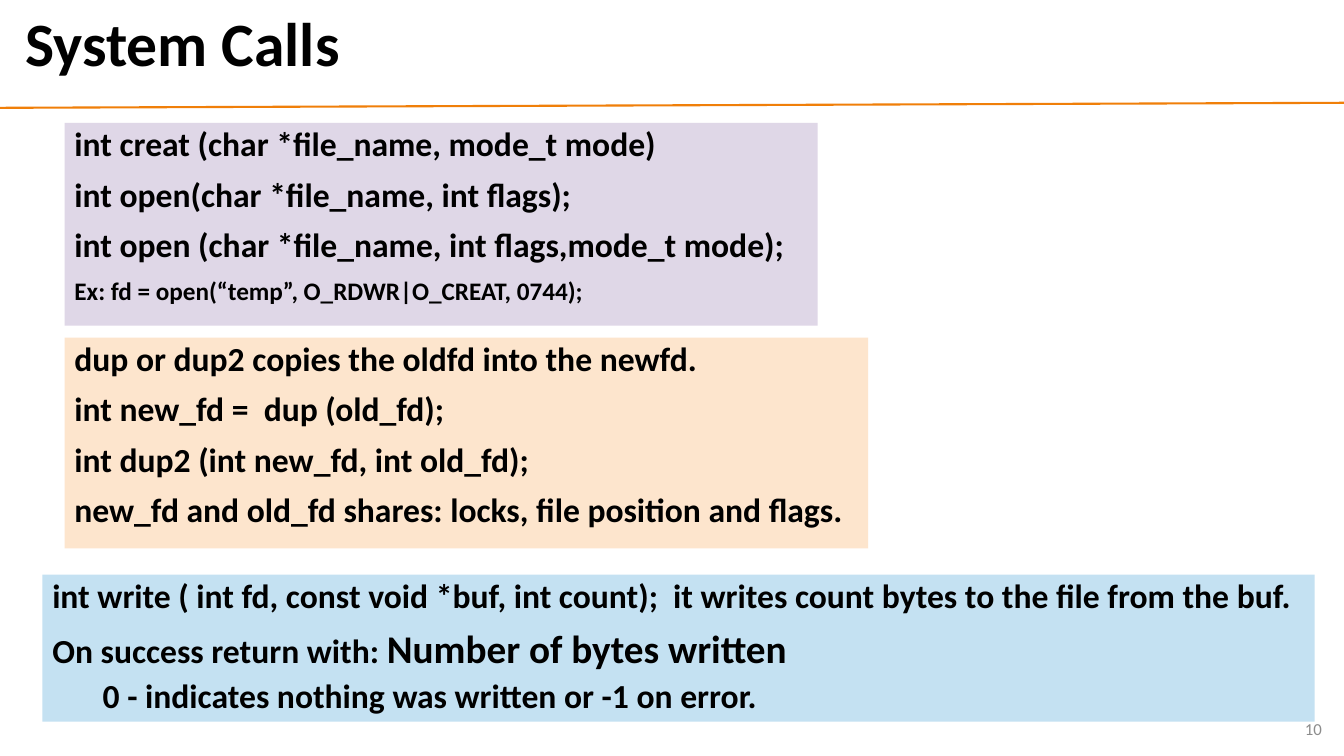
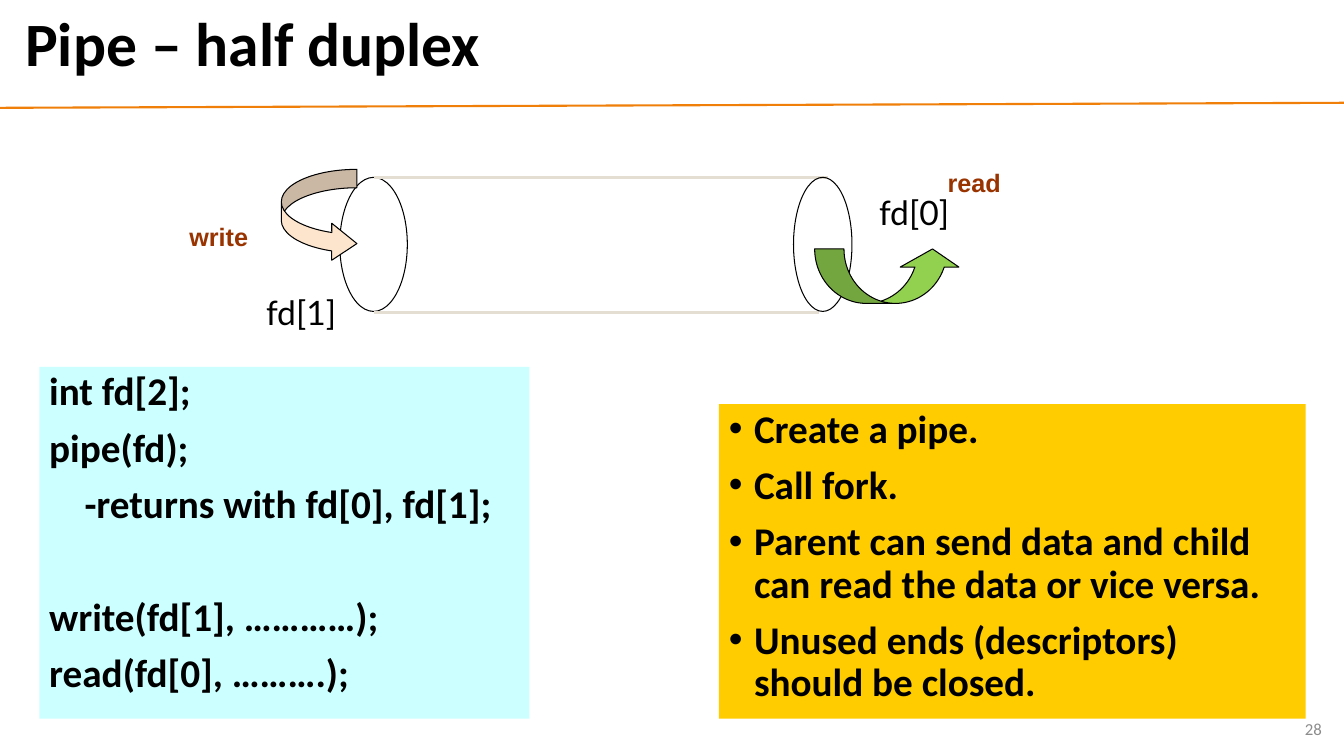
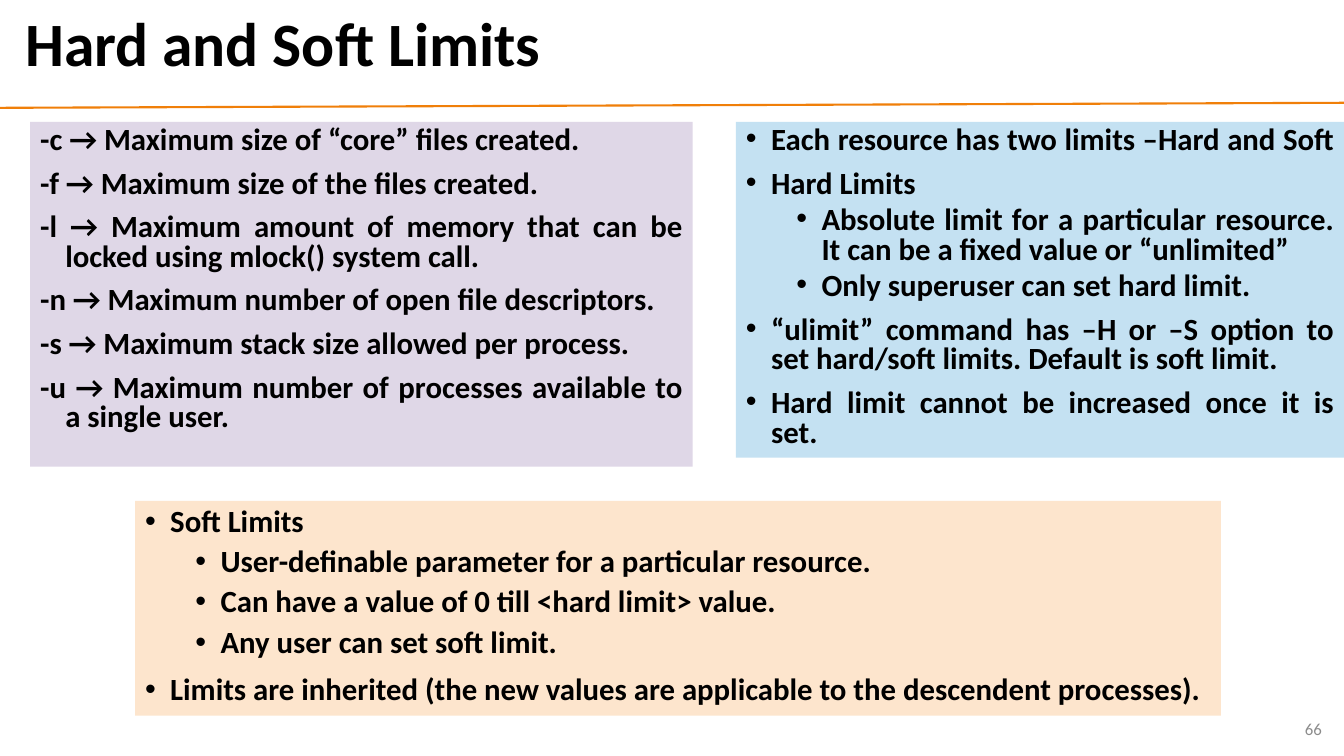
from lxml import etree
from pptx import Presentation
from pptx import util as u
from pptx.dml.color import RGBColor
from pptx.enum import shapes, text
from pptx.oxml.ns import qn

COLORS = dict(
    ink="000000", rule="F07F09", number="8C8C8C", lilac="DFD7E7", peach="FDE5CD",
    sky="C4E1F2", cyan="CCFFFF", gold="FFCC00", green="92D050", pipe="E3DED1",
    label="993300",
)
SHAPE = shapes.MSO_SHAPE
ALIGN = text.PP_ALIGN


def rgb(name):
    return RGBColor.from_string(COLORS[name])


def add_text(tf, content, size=24, font="Calibri", color="ink", bold=True,
             align=ALIGN.LEFT, spacing=None, before=None, level=0,
             left=0, hang=0, bullet=False):
    """Add a paragraph; content is a string or a list of (string, size) runs."""
    p = tf.add_paragraph() if tf.text else tf.paragraphs[0]
    p.alignment, p.level = align, level
    if spacing:
        p.line_spacing = spacing
    if before is not None:
        p.space_before = u.Pt(before)
    pPr = p._p.get_or_add_pPr()
    pPr.set("marL", str(u.Inches(left)))
    pPr.set("indent", str(u.Inches(-hang)))
    if bullet:
        clr = etree.SubElement(pPr, qn("a:buClr"))
        etree.SubElement(clr, qn("a:srgbClr"), val=COLORS[color])
        etree.SubElement(pPr, qn("a:buFont"), typeface="Arial")
        etree.SubElement(pPr, qn("a:buChar"), char="•")
    runs = [(content, size)] if isinstance(content, str) else content
    for words, points in runs:
        r = p.add_run()
        r.text = words
        r.font.name, r.font.size, r.font.bold = font, u.Pt(points), bold
        r.font.color.rgb = rgb(color)


class Deck:
    def __init__(self):
        self.prs = Presentation()
        self.prs.slide_width, self.prs.slide_height = u.Inches(13.33), u.Inches(7.5)

    def slide(self, title, number):
        """Start a slide with its title, rule and number."""
        self.s = self.prs.slides.add_slide(self.prs.slide_layouts[5])
        self.line(0, 1.07, 13.33, 1.02, "rule", 1.5)
        sp = self.s.shapes.title
        sp.left, sp.top, sp.width, sp.height = map(u.Inches, (0.15, 0.05, 12.89, 0.83))
        tf = sp.text_frame
        tf.auto_size = text.MSO_AUTO_SIZE.NONE
        tf.vertical_anchor = text.MSO_ANCHOR.MIDDLE
        add_text(tf, title, size=44, spacing=0.9, before=0)
        self.label(str(number), 10.21, 7.03, 3, 0.4, size=12, color="number",
                   bold=False, align=ALIGN.RIGHT, anchor=text.MSO_ANCHOR.MIDDLE)

    def line(self, x1, y1, x2, y2, color, width):
        c = self.s.shapes.add_connector(
            shapes.MSO_CONNECTOR.STRAIGHT, *map(u.Inches, (x1, y1, x2, y2)))
        c.line.color.rgb, c.line.width = rgb(color), u.Pt(width)
        etree.SubElement(c._element.spPr, qn("a:effectLst"))

    def shape(self, kind, x, y, w, h, fill=None, outline=None, adj=()):
        sp = self.s.shapes.add_shape(kind, *map(u.Inches, (x, y, w, h)))
        sp.shadow.inherit = False
        if fill:
            sp.fill.solid()
            sp.fill.fore_color.rgb = rgb(fill)
        else:
            sp.fill.background()
        if outline:
            sp.line.color.rgb, sp.line.width = rgb(outline), u.Pt(0.75)
        else:
            sp.line.fill.background()
        for i, value in enumerate(adj):
            sp.adjustments[i] = value
        return sp

    def label(self, words, x, y, w, h, wrap=True, anchor=text.MSO_ANCHOR.TOP, **fmt):
        tf = self.s.shapes.add_textbox(*map(u.Inches, (x, y, w, h))).text_frame
        tf.word_wrap, tf.vertical_anchor = wrap, anchor
        if not wrap:
            tf.auto_size = text.MSO_AUTO_SIZE.SHAPE_TO_FIT_TEXT
        add_text(tf, words, **fmt)

    def panel(self, x, y, w, h, fill, items, **style):
        """Filled box of paragraphs; an item is text or (text, own format)."""
        tf = self.shape(SHAPE.RECTANGLE, x, y, w, h, fill).text_frame
        tf.word_wrap, tf.vertical_anchor = True, text.MSO_ANCHOR.TOP
        for item in items:
            words, own = (item, {}) if isinstance(item, str) else item
            level = own.get("level", 0)
            base = dict(spacing=0.9, before=5 if level else 10,
                        left=0.25 + 0.5 * level, hang=0.25)
            add_text(tf, words, **{**base, **style, **own})


SUB = dict(level=1)


def system_calls(d):
    d.slide("System Calls", 10)
    d.panel(0.64, 1.22, 7.47, 2.01, "lilac", [
        "int creat (char *file_name, mode_t mode)",
        "int open(char *file_name, int flags);",
        "int open (char *file_name, int flags,mode_t mode);",
        ("Ex: fd = open(“temp”, O_RDWR|O_CREAT, 0744);", dict(size=18)),
    ])
    d.panel(0.64, 3.35, 7.97, 2.09, "peach", [
        "dup or dup2 copies the oldfd into the newfd.",
        "int new_fd =  dup (old_fd);",
        "int dup2 (int new_fd, int old_fd);",
        "new_fd and old_fd shares: locks, file position and flags.",
    ])
    d.panel(0.42, 5.7, 12.62, 1.46, "sky", [
        "int write ( int fd, const void *buf, int count);  "
        "it writes count bytes to the file from the buf.",
        ([("On success return with: ", 24), ("Number of bytes written", 28)], {}),
        ("0 - indicates nothing was written or -1 on error.", SUB),
    ])


def pipe(d):
    d.slide("Pipe – half duplex", 28)
    # Pipe body
    d.shape(SHAPE.OVAL, 3.37, 1.76, 0.67, 1.33, outline="ink")
    d.line(3.71, 1.76, 8.21, 1.76, "pipe", 2.25)
    d.line(3.71, 3.1, 8.12, 3.1, "pipe", 2.25)
    d.shape(SHAPE.OVAL, 7.87, 1.76, 0.58, 1.33, outline="ink")
    # Write and read arrows
    d.shape(SHAPE.CURVED_RIGHT_ARROW, 2.79, 1.68, 0.75, 0.92, "peach", "ink",
            (0.244, 0.489, 0.333))
    sp = d.shape(SHAPE.CURVED_LEFT_ARROW, 8.54, 2.01, 0.54, 1.46, "green", "ink",
                 (0.538, 1.077, 0.333))
    sp.rotation = 270
    sp._element.spPr.find(qn("a:xfrm")).set("flipH", "1")
    # Labels
    for words, x, y in (("fd[1]", 2.54, 2.85), ("fd[0]", 8.62, 1.85)):
        d.label(words, x, y, 1.42, 0.5, font="Lato", bold=False)
    for words, x, y in (("write", 1.78, 2.15), ("read", 9.3, 1.61)):
        d.label(words, x, y, 0.8 if words == "write" else 0.75, 0.4, wrap=False,
                size=18, font="Arial", color="label")
    # Code and steps
    d.panel(0.39, 3.64, 4.86, 3.49, "cyan", [
        "int fd[2];",
        "pipe(fd);",
        ("-returns with fd[0], fd[1];", dict(left=0.35)),
        ("write(fd[1], …………);", dict(before=50.5)),
        "read(fd[0], ……….);",
    ], size=28, left=0, hang=0)
    d.panel(7.13, 4.01, 5.82, 3.12, "gold", [
        "Create a pipe.",
        "Call fork.",
        "Parent can send data and child can read the data or vice versa.",
        "Unused ends (descriptors) should be closed.",
    ], size=28, bullet=True)


def limits(d):
    d.slide("Hard and Soft Limits", 66)
    tight = dict(size=22, spacing=0.8, align=ALIGN.JUSTIFY)
    d.panel(0.3, 1.21, 6.57, 3.42, "lilac", [
        "-c → Maximum size of “core” files created.",
        "-f → Maximum size of the files created.",
        "-l → Maximum amount of memory that can be locked using mlock() system call.",
        "-n → Maximum number of open file descriptors.",
        "-s → Maximum stack size allowed per process.",
        "-u → Maximum number of processes available to a single user.",
    ], **tight)
    d.panel(7.3, 1.21, 6.03, 3.33, "sky", [
        "Each resource has two limits –Hard and Soft ",
        "Hard Limits",
        ("Absolute limit for a particular resource. "
         "It can be a fixed value or “unlimited”", SUB),
        ("Only superuser can set hard limit.", SUB),
        "“ulimit” command has –H or –S option to set hard/soft limits. "
        "Default is soft limit.",
        "Hard limit cannot be increased once it is set.",
    ], bullet=True, **tight)
    d.panel(1.34, 4.97, 10.77, 2.13, "peach", [
        "Soft Limits",
        ("User-definable parameter for a particular resource.", SUB),
        ("Can have a value of 0 till <hard limit> value.", SUB),
        ("Any user can set soft limit.", SUB),
        "Limits are inherited (the new values are applicable to the "
        "descendent processes).",
    ], size=22, bullet=True)


def main():
    d = Deck()
    system_calls(d)
    pipe(d)
    limits(d)
    d.prs.save("out.pptx")


if __name__ == "__main__":
    main()
